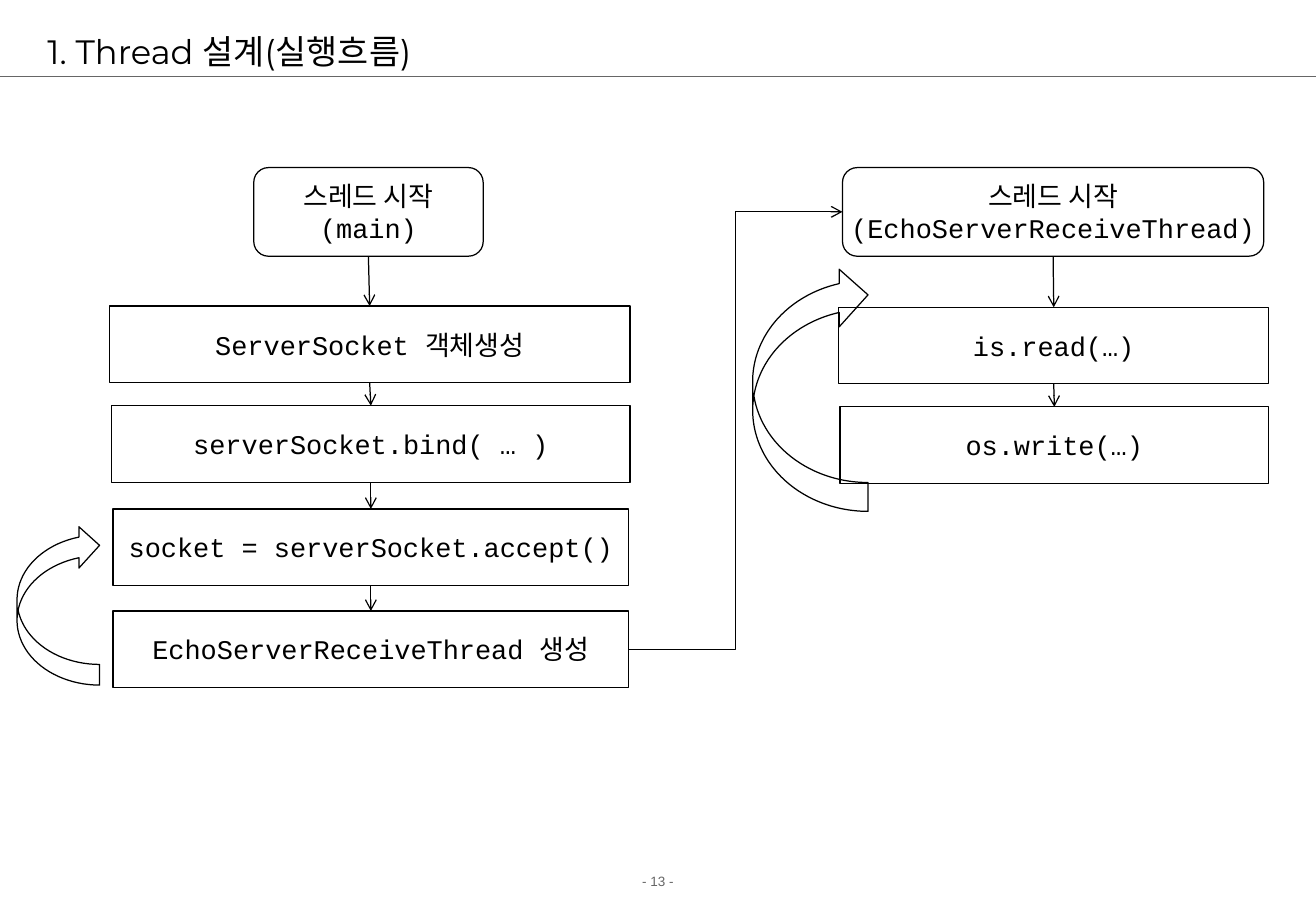
import pptx
import pptx.util
import pptx.dml.color
import pptx.enum.shapes
import pptx.enum.text
import pptx.oxml
import pptx.oxml.ns

Inches = pptx.util.Inches
Pt = pptx.util.Pt
MSO_SHAPE = pptx.enum.shapes.MSO_SHAPE
MSO_CONNECTOR = pptx.enum.shapes.MSO_CONNECTOR
MSO_ANCHOR = pptx.enum.text.MSO_ANCHOR
PP_ALIGN = pptx.enum.text.PP_ALIGN

COLORS = {"ink": "000000", "muted": "666666"}
TOP, LEFT, BOTTOM, RIGHT = range(4)  # connection sites of a box
BOX_HEIGHT = 0.63
START_TOP, START_HEIGHT = 1.38, 0.73


class FlowSlide:
    """Holds the style and the current slide."""

    title_font, code_font, footer_font = "Montserrat", "Courier New", "Arial"
    line_width = Pt(0.74)

    def __init__(self, presentation):
        """Add a title-only slide to the presentation."""
        self.slide = presentation.slides.add_slide(presentation.slide_layouts[5])
        self.shapes = self.slide.shapes

    def color(self, name):
        """Return a named colour."""
        return pptx.dml.color.RGBColor.from_string(COLORS[name])

    def add_lines(self, frame, lines, font, size, color, align):
        """Add one paragraph per line of text."""
        frame.word_wrap = True
        for index, text in enumerate(lines):
            paragraph = frame.add_paragraph() if index else frame.paragraphs[0]
            paragraph.alignment = align
            run = paragraph.add_run()
            run.text = text
            run.font.name = font
            run.font.size = Pt(size)
            run.font.color.rgb = self.color(color)

    def place(self, shape, left, top, width, height):
        """Move and size a shape."""
        shape.left, shape.top = Inches(left), Inches(top)
        shape.width, shape.height = Inches(width), Inches(height)

    def title(self, text):
        """Fill the title placeholder."""
        title = self.shapes.title
        self.place(title, 0.29, 0.21, 10.17, 0.42)
        frame = title.text_frame
        frame.auto_size = pptx.enum.text.MSO_AUTO_SIZE.NONE
        frame.vertical_anchor = MSO_ANCHOR.MIDDLE
        self.add_lines(frame, [text], self.title_font, 20, "ink", PP_ALIGN.LEFT)

    def footer(self, text):
        """Add the centred page number."""
        box = self.shapes.add_textbox(Inches(0), Inches(7.14), Inches(10.84), Inches(0.24))
        self.add_lines(box.text_frame, [text], self.footer_font, 8, "muted", PP_ALIGN.CENTER)

    def outline(self, kind, left, top, width, height):
        """Add an unfilled shape with a thin outline."""
        shape = self.shapes.add_shape(
            kind, Inches(left), Inches(top), Inches(width), Inches(height))
        shape.shadow.inherit = False
        shape.fill.background()
        shape.line.color.rgb = self.color("ink")
        shape.line.width = self.line_width
        return shape

    def box(self, kind, left, top, width, height, *lines):
        """Add a flow step with centred text."""
        shape = self.outline(kind, left, top, width, height)
        frame = shape.text_frame
        frame.margin_left = frame.margin_right = 0
        frame.margin_top = frame.margin_bottom = 0
        frame.vertical_anchor = MSO_ANCHOR.MIDDLE
        self.add_lines(frame, lines, self.code_font, 16, "ink", PP_ALIGN.CENTER)
        return shape

    def loop(self, left, top, width, height):
        """Add a curved arrow that runs from the bottom back to the top."""
        shape = self.outline(MSO_SHAPE.CURVED_RIGHT_ARROW, left, top, width, height)
        shape.element.spPr.find(pptx.oxml.ns.qn("a:xfrm")).set("flipV", "1")

    def connector(self, kind, color, start=(0, 0), end=(0, 0)):
        """Add a thin connector without a shadow."""
        points = [Inches(value) for value in (*start, *end)]
        connector = self.shapes.add_connector(kind, *points)
        connector.line.color.rgb = self.color(color)
        connector.line.width = self.line_width
        properties = connector.element.spPr
        properties.append(pptx.oxml.parse_xml(
            "<a:effectLst %s/>" % pptx.oxml.ns.nsdecls("a")))
        return connector

    def arrow(self, source, target, kind=MSO_CONNECTOR.STRAIGHT, leave=BOTTOM, enter=TOP):
        """Join two boxes with an open arrowhead at the target."""
        connector = self.connector(kind, "ink")
        connector.begin_connect(source, leave)
        connector.end_connect(target, enter)
        line = connector.element.spPr.find(pptx.oxml.ns.qn("a:ln"))
        line.append(pptx.oxml.parse_xml(
            '<a:tailEnd %s type="arrow"/>' % pptx.oxml.ns.nsdecls("a")))

    def flow(self, start, steps):
        """Stack a rounded start box and its steps, joined by arrows."""
        left, width, lines = start
        boxes = [self.box(MSO_SHAPE.ROUNDED_RECTANGLE, left, START_TOP,
                          width, START_HEIGHT, *lines)]
        for left, top, width, text in steps:
            boxes.append(self.box(MSO_SHAPE.RECTANGLE, left, top, width, BOX_HEIGHT, text))
        for source, target in zip(boxes, boxes[1:]):
            self.arrow(source, target)
        return boxes


def main():
    """Build the thread flow slide."""
    presentation = pptx.Presentation()
    presentation.slide_width, presentation.slide_height = Inches(10.84), Inches(7.5)
    page = FlowSlide(presentation)

    page.footer("- 13 -")
    page.connector(MSO_CONNECTOR.STRAIGHT, "muted", (0, 0.63), (10.84, 0.63))
    page.title("1. Thread 설계(실행흐름)")

    main_thread = page.flow((2.09, 1.89, ["스레드 시작", "(main)"]), [
        (0.90, 2.52, 4.29, "ServerSocket 객체생성"),
        (0.92, 3.34, 4.27, "serverSocket.bind( … )"),
        (0.93, 4.19, 4.25, "socket = serverSocket.accept()"),
        (0.93, 5.03, 4.25, "EchoServerReceiveThread 생성"),
    ])
    receive_thread = page.flow(
        (6.94, 3.47, ["스레드 시작", "(EchoServerReceiveThread)"]), [
            (6.91, 2.53, 3.54, "is.read(…)"),
            (6.92, 3.35, 3.53, "os.write(…)"),
        ])
    page.arrow(main_thread[-1], receive_thread[0], MSO_CONNECTOR.ELBOW, RIGHT, LEFT)

    page.loop(0.14, 4.32, 0.68, 1.32)
    page.loop(6.20, 2.19, 0.95, 2.02)

    presentation.save("out.pptx")


main()
